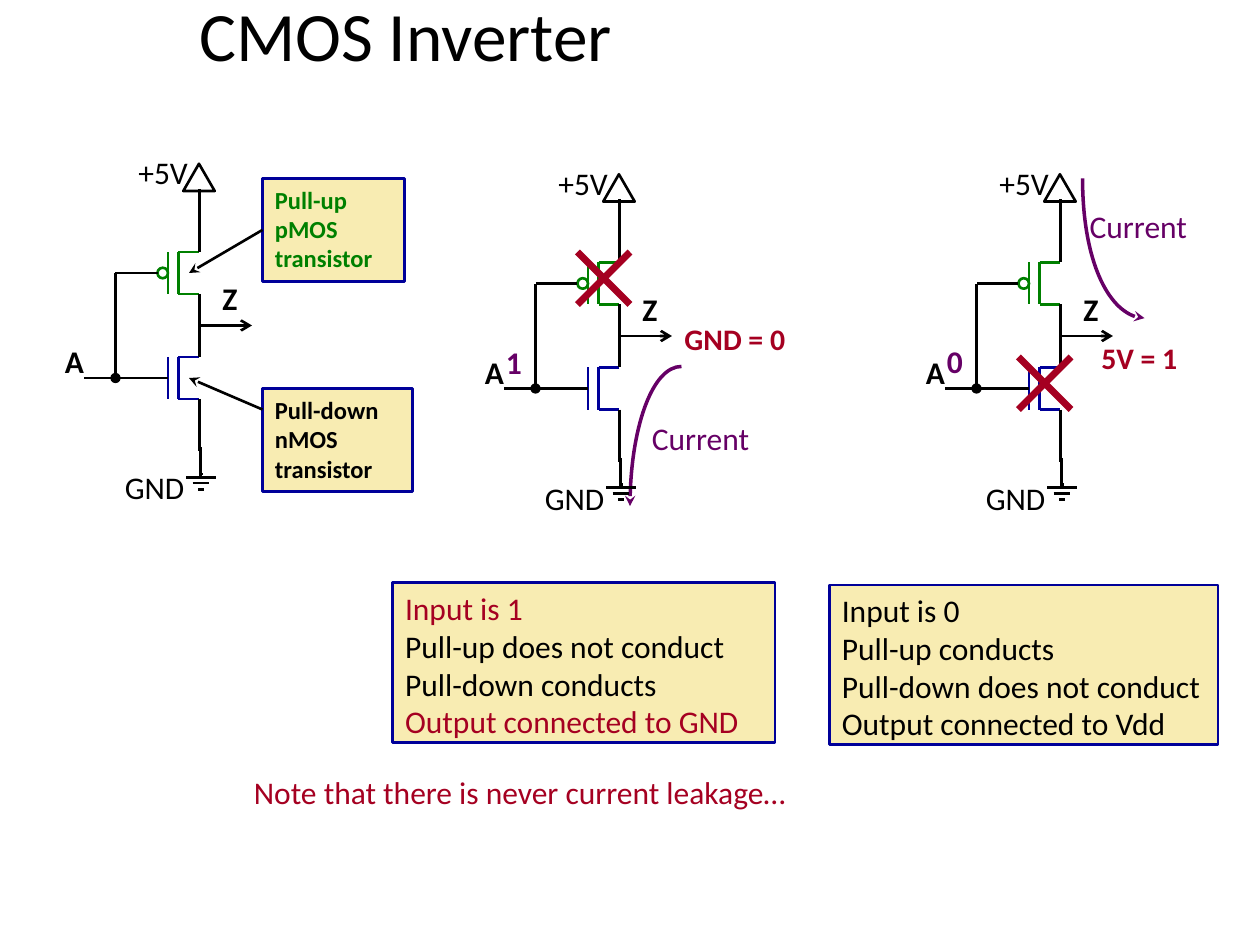
"""Build the CMOS inverter slide on a grid of 120 columns by 90 rows."""
from dataclasses import dataclass
from typing import NamedTuple, Optional, Union

from lxml import etree
from pptx import Presentation
from pptx.dml.color import RGBColor
from pptx.enum.shapes import MSO_CONNECTOR, MSO_SHAPE
from pptx.enum.text import MSO_ANCHOR, MSO_AUTO_SIZE, PP_ALIGN
from pptx.oxml.ns import qn
from pptx.shapes.autoshape import Shape
from pptx.shapes.connector import Connector
from pptx.shapes.shapetree import GroupShapes, SlideShapes
from pptx.text.text import TextFrame
from pptx.util import Inches, Pt

STRAIGHT = MSO_CONNECTOR.STRAIGHT
RECTANGLE, OVAL, TRIANGLE = MSO_SHAPE.RECTANGLE, MSO_SHAPE.OVAL, MSO_SHAPE.ISOSCELES_TRIANGLE
TOP, MIDDLE = MSO_ANCHOR.TOP, MSO_ANCHOR.MIDDLE
LEFT, CENTER = PP_ALIGN.LEFT, PP_ALIGN.CENTER
GROW = MSO_AUTO_SIZE.SHAPE_TO_FIT_TEXT
LEFT_SIDE = 1
WIDTH, HEIGHT = Inches(10), Inches(7.5)
COLUMNS, ROWS = 120, 90

Shapes = Union[SlideShapes, GroupShapes]


@dataclass(frozen=True)
class Theme:
    font: str = "Calibri"
    ink: RGBColor = RGBColor(0, 0, 0)
    paper: RGBColor = RGBColor(255, 255, 255)
    panel: RGBColor = RGBColor(0xF8, 0xEC, 0xB2)
    nmos: RGBColor = RGBColor(0, 0, 0x99)
    pmos: RGBColor = RGBColor(0, 0x80, 0)
    alert: RGBColor = RGBColor(0xA5, 0, 0x21)
    current: RGBColor = RGBColor(0x66, 0, 0x66)
    title: float = 39.6
    body: float = 18
    output: float = 17
    callout: float = 14
    wire: float = 1.5
    flow: float = 2
    strike: float = 4


THEME = Theme()


class Point(NamedTuple):
    col: float
    row: float


class Box(NamedTuple):
    col: float
    row: float
    cols: float
    rows: float


class Line(NamedTuple):
    text: str
    color: RGBColor = THEME.ink


class Label(NamedTuple):
    text: str
    box: Box
    color: RGBColor = THEME.ink
    size: float = THEME.body
    bold: bool = False


class Inverter(NamedTuple):
    rail: float
    row: float


def x(col: float) -> int:
    return round(WIDTH * col / COLUMNS)


def y(row: float) -> int:
    return round(HEIGHT * row / ROWS)


def place(box: Box) -> tuple[int, int, int, int]:
    return x(box.col), y(box.row), x(box.cols), y(box.rows)


def add_run(paragraph, text: str, color: RGBColor, size: float, bold: bool) -> None:
    run = paragraph.add_run()
    run.text = text
    run.font.name, run.font.size, run.font.bold = THEME.font, Pt(size), bold
    run.font.color.rgb = color


def write(frame: TextFrame, lines: list[Line], size: float, bold: bool = False) -> None:
    for index, line in enumerate(lines):
        paragraph = frame.add_paragraph() if index else frame.paragraphs[0]
        paragraph.alignment = LEFT
        for part, text in enumerate(line.text.split("\n")):
            if part:
                paragraph.add_line_break()
            add_run(paragraph, text, line.color, size, bold)


def draw_label(shapes: Shapes, label: Label) -> TextFrame:
    frame = shapes.add_textbox(*place(label.box)).text_frame
    frame.word_wrap, frame.auto_size = False, GROW
    write(frame, [Line(label.text, label.color)], label.size, label.bold)
    return frame


def draw_shape(shapes: Shapes, kind: MSO_SHAPE, box: Box, fill: RGBColor, line: RGBColor) -> Shape:
    shape = shapes.add_shape(kind, *place(box))
    shape.shadow.inherit = False
    shape.fill.solid()
    shape.fill.fore_color.rgb = fill
    shape.line.color.rgb, shape.line.width = line, Pt(THEME.wire)
    return shape


def draw_panel(shapes: Shapes, box: Box, lines: list[Line], size: float, bold: bool = False) -> Shape:
    panel = draw_shape(shapes, RECTANGLE, box, THEME.panel, THEME.nmos)
    frame = panel.text_frame
    frame.word_wrap, frame.auto_size, frame.vertical_anchor = True, GROW, TOP
    write(frame, lines, size, bold)
    return panel


def add_arrowhead(shape: Union[Shape, Connector], end: str, style: str) -> None:
    etree.SubElement(shape.line._get_or_add_ln(), qn(f"a:{end}"), type=style)


def draw_wire(shapes: Shapes, start: Point, stop: Point, color: RGBColor = THEME.ink,
              width: float = THEME.wire, tip: Optional[str] = None) -> Connector:
    wire = shapes.add_connector(STRAIGHT, x(start.col), y(start.row), x(stop.col), y(stop.row))
    wire.line.color.rgb, wire.line.width = color, Pt(width)
    if tip:
        add_arrowhead(wire, "tailEnd", tip)
    etree.SubElement(wire._element.spPr, qn("a:effectLst"))
    return wire


def draw_flow(shapes: Shapes, start: Point, *bends: Point) -> None:
    builder = shapes.build_freeform(x(start.col), y(start.row))
    builder.add_line_segments([(x(p.col), y(p.row)) for p in bends], close=False)
    flow = builder.convert_to_shape()
    flow.shadow.inherit = False
    flow.fill.background()
    flow.line.color.rgb, flow.line.width = THEME.current, Pt(THEME.flow)
    add_arrowhead(flow, "headEnd", "stealth")
    outline = flow._element.find(".//" + qn("a:path"))
    curve = etree.SubElement(outline, qn("a:cubicBezTo"))
    for segment in outline.findall(qn("a:lnTo")):
        curve.append(segment[0])
        outline.remove(segment)


def draw_cross(shapes: Shapes, box: Box) -> None:
    arms = shapes.add_group_shape().shapes
    right, bottom = box.col + box.cols, box.row + box.rows
    for first, last in ((bottom, box.row), (box.row, bottom)):
        draw_wire(arms, Point(box.col, first), Point(right, last), THEME.alert, THEME.strike)


def draw_inverter(shapes: Shapes, inverter: Inverter) -> None:
    parts = shapes.add_group_shape().shapes

    def at(col: float, row: float) -> Point:
        return Point(inverter.rail + col, inverter.row + row)

    for text, col, row, cols, bold in (("GND", -8.3, 44, 8.3, False), ("+5V", -7, 14, 7.2, False),
                                       ("A", -14, 32, 4.3, True), ("Z", 1, 26, 4.1, True)):
        draw_label(parts, Label(text, Box(*at(col, row), cols, 4.4), bold=bold))
    for half, row in ((1.4, 45.45), (0.8, 46), (0.28, 46.6), (0.15, 45.15)):
        draw_wire(parts, at(0.14 - half, row), at(0.14 + half, row))
    draw_wire(parts, at(0.1, 42.6), at(0.1, 45.45))
    for color, top in ((THEME.nmos, 34), (THEME.pmos, 24)):
        for col in (-3, -2):
            draw_wire(parts, at(col, top), at(col, top + 4), color)
        for row in (top, top + 4):
            draw_wire(parts, at(-2, row), at(0, row), color)
    draw_shape(parts, OVAL, Box(*at(-4, 25.5), 1, 1), THEME.paper, THEME.pmos)
    draw_shape(parts, TRIANGLE, Box(*at(-1.55, 15.6), 3, 2.6), THEME.paper, THEME.ink)
    for top, bottom in ((18, 24), (28, 34), (38, 43)):
        draw_wire(parts, at(0, top), at(0, bottom))
    draw_wire(parts, at(-4, 26), at(-8, 26))
    draw_wire(parts, at(-3, 36), at(-11, 36))
    draw_wire(parts, at(-8, 26), at(-8, 36), tip="oval")
    draw_wire(parts, at(0, 31), at(5, 31), tip="arrow")


def main() -> None:
    deck = Presentation()
    deck.slide_width, deck.slide_height = WIDTH, HEIGHT
    shapes = deck.slides.add_slide(deck.slide_layouts[6]).shapes

    title = draw_label(shapes, Label("CMOS Inverter", Box(14.3, 1.1, 48.7, 4.3), size=THEME.title))
    title.word_wrap, title.auto_size = True, MSO_AUTO_SIZE.NONE
    title.vertical_anchor, title.paragraphs[0].alignment = MIDDLE, CENTER

    draw_panel(shapes, Box(37.4, 55.5, 36.4, 15.2), [
        Line("Input is 1", THEME.alert), Line("Pull-up does not conduct"),
        Line("Pull-down conducts"), Line("Output connected to GND", THEME.alert)], THEME.body)
    draw_panel(shapes, Box(79, 55.7, 37, 15.2), [
        Line("Input is 0"), Line("Pull-up conducts"),
        Line("Pull-down does not conduct"), Line("Output connected to Vdd")], THEME.body)
    pull_up = draw_panel(shapes, Box(25, 17, 13.5, 9.8),
                         [Line("Pull-up pMOS\ntransistor", THEME.pmos)], THEME.callout, True)
    draw_panel(shapes, Box(25, 37, 14.3, 9.8), [Line("Pull-down\nnMOS transistor")], THEME.callout, True)
    draw_wire(shapes, Point(25, 22), Point(18, 26), tip="stealth").begin_connect(pull_up, LEFT_SIDE)
    draw_wire(shapes, Point(25, 39), Point(18, 36), tip="stealth")

    draw_flow(shapes, Point(60, 48.2), Point(60, 40.9), Point(62.2, 34.9), Point(64.9, 34.9))
    draw_flow(shapes, Point(109, 30.3), Point(105.7, 30.3), Point(103.1, 24.3), Point(103.1, 17))
    for inverter in (Inverter(19, 0), Inverter(59, 1), Inverter(101, 1)):
        draw_inverter(shapes, inverter)
    for box in (Box(55, 24, 5, 5), Box(97, 34, 5, 5)):
        draw_cross(shapes, box)
    for label in (
        Label("5V = 1", Box(103.7, 31.8, 10.7, 4.6), THEME.alert, THEME.output, True),
        Label("GND = 0", Box(64, 30, 13.6, 4.6), THEME.alert, THEME.output, True),
        Label("Current", Box(60.9, 39.3, 12.4, 4.8), THEME.current),
        Label("Current", Box(102.6, 19.1, 12.4, 4.8), THEME.current),
        Label("Note that there is never current leakage…", Box(23, 73, 64.2, 5.2), THEME.alert),
        Label("1", Box(47, 32.1, 4.1, 4.8), THEME.current, bold=True),
        Label("0", Box(89, 32, 4.1, 4.8), THEME.current, bold=True),
    ):
        draw_label(shapes, label)
    deck.save("out.pptx")


if __name__ == "__main__":
    main()
